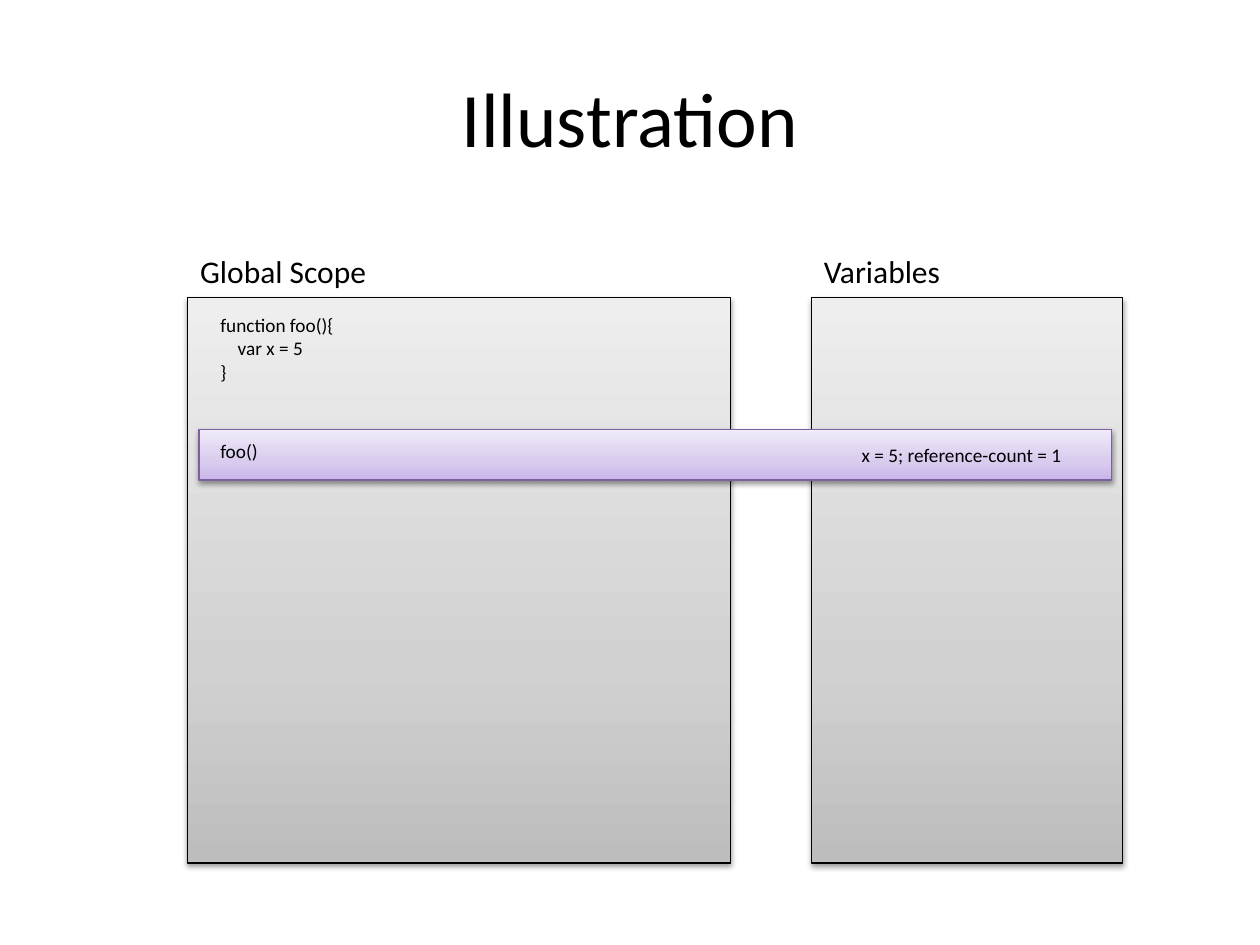
import copy

import lxml.etree
import pptx
import pptx.dml.color
import pptx.enum.shapes
import pptx.enum.text
import pptx.oxml.ns
import pptx.util

presentation = pptx.Presentation()
presentation.slide_width = pptx.util.Inches(10)
presentation.slide_height = pptx.util.Inches(7.5)
slide = presentation.slides.add_slide(presentation.slide_layouts[6])

# Grid of 100 columns by 75 rows
CELL = presentation.slide_width / 100
PANEL_TOP, PANEL_HEIGHT = 23.6, 44.9
LABEL_HEIGHT = 4
LABEL_TOP = PANEL_TOP - LABEL_HEIGHT - 0.1
CODE_LEFT = 16.5
GREYS = ("BDBDBD", "D1D1D1", "EEEEEE")
PURPLES = ("C9B5E8", "D8CBEE", "F0EAF9")


def add_text(text, left, top, width, height, size=11, wrap=False,
             align=pptx.enum.text.PP_ALIGN.LEFT, anchor=pptx.enum.text.MSO_ANCHOR.TOP):
    box = slide.shapes.add_textbox(*(round(cells * CELL) for cells in (left, top, width, height)))
    frame = box.text_frame
    frame.word_wrap = wrap
    frame.vertical_anchor = anchor
    frame.text = text
    for paragraph in frame.paragraphs:
        paragraph.alignment = align
        paragraph.font.name = "Calibri"
        paragraph.font.size = pptx.util.Pt(size)
        paragraph.font.color.rgb = pptx.dml.color.RGBColor.from_string("000000")


def add_panel(left, top, width, height, colors, line):
    shape = slide.shapes.add_shape(
        pptx.enum.shapes.MSO_SHAPE.RECTANGLE,
        *(round(cells * CELL) for cells in (left, top, width, height)))
    shape.line.color.rgb = pptx.dml.color.RGBColor.from_string(line)
    shape.line.width = pptx.util.Pt(0.75)

    # Three-stop gradient, darkest at the bottom
    shape.fill.gradient()
    shape.fill.gradient_angle = 90
    properties = shape._element.spPr
    stop_list = properties.find(".//" + pptx.oxml.ns.qn("a:gsLst"))
    stop_list.append(copy.deepcopy(stop_list[0]))
    for stop, position, color in zip(shape.fill.gradient_stops, (0, 0.35, 1), colors):
        stop.position = position
        stop.color.rgb = pptx.dml.color.RGBColor.from_string(color)

    # Soft shadow straight below
    shape.shadow.inherit = False
    effects = properties.find(pptx.oxml.ns.qn("a:effectLst"))
    shadow = lxml.etree.SubElement(
        effects, pptx.oxml.ns.qn("a:outerShdw"), blurRad=str(pptx.util.Pt(3.1)),
        dist=str(pptx.util.Pt(1.6)), dir="5400000", rotWithShape="0")
    black = lxml.etree.SubElement(shadow, pptx.oxml.ns.qn("a:srgbClr"), val="000000")
    lxml.etree.SubElement(black, pptx.oxml.ns.qn("a:alpha"), val="38000")


# Title
add_text("Illustration", 5, 3, 90, 12.5, size=44, wrap=True,
         align=pptx.enum.text.PP_ALIGN.CENTER, anchor=pptx.enum.text.MSO_ANCHOR.MIDDLE)

# Scope and variable panels with their labels
for label, left, width, label_width in (("Global Scope", 14.9, 43.1, 15.3),
                                        ("Variables", 64.4, 24.7, 11.5)):
    add_panel(left, PANEL_TOP, width, PANEL_HEIGHT, GREYS, "000000")
    add_text(label, left, LABEL_TOP, label_width, LABEL_HEIGHT, size=18)

# Function definition
add_text("function foo(){\n    var x = 5\n}", CODE_LEFT, 24.4, 11.1, 6.6)

# Call frame across both panels
add_panel(15.8, 34.1, 72.4, 4, PURPLES, "7D60A0")
add_text("foo()", CODE_LEFT, 34.4, 5.1, 2.9)
add_text("x = 5; reference-count = 1", 67.4, 34.7, 18.2, 2.9)

presentation.save("out.pptx")
